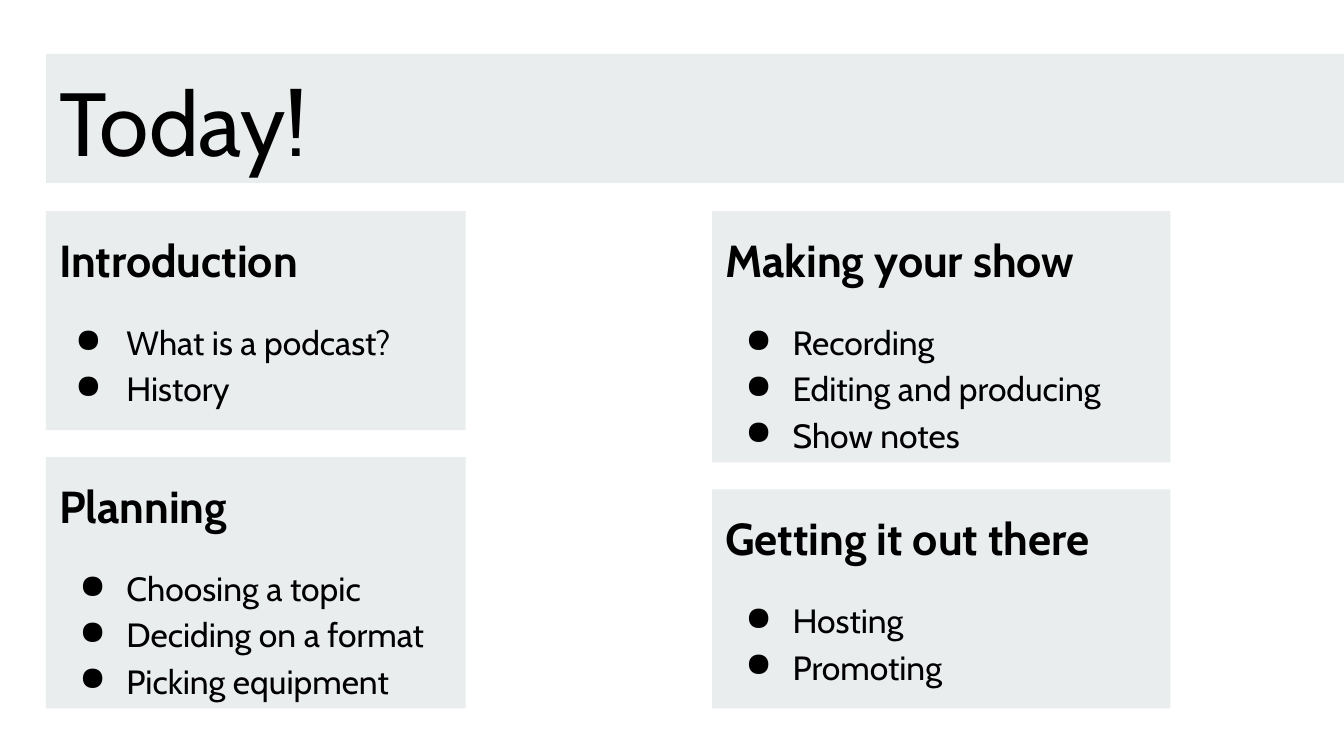
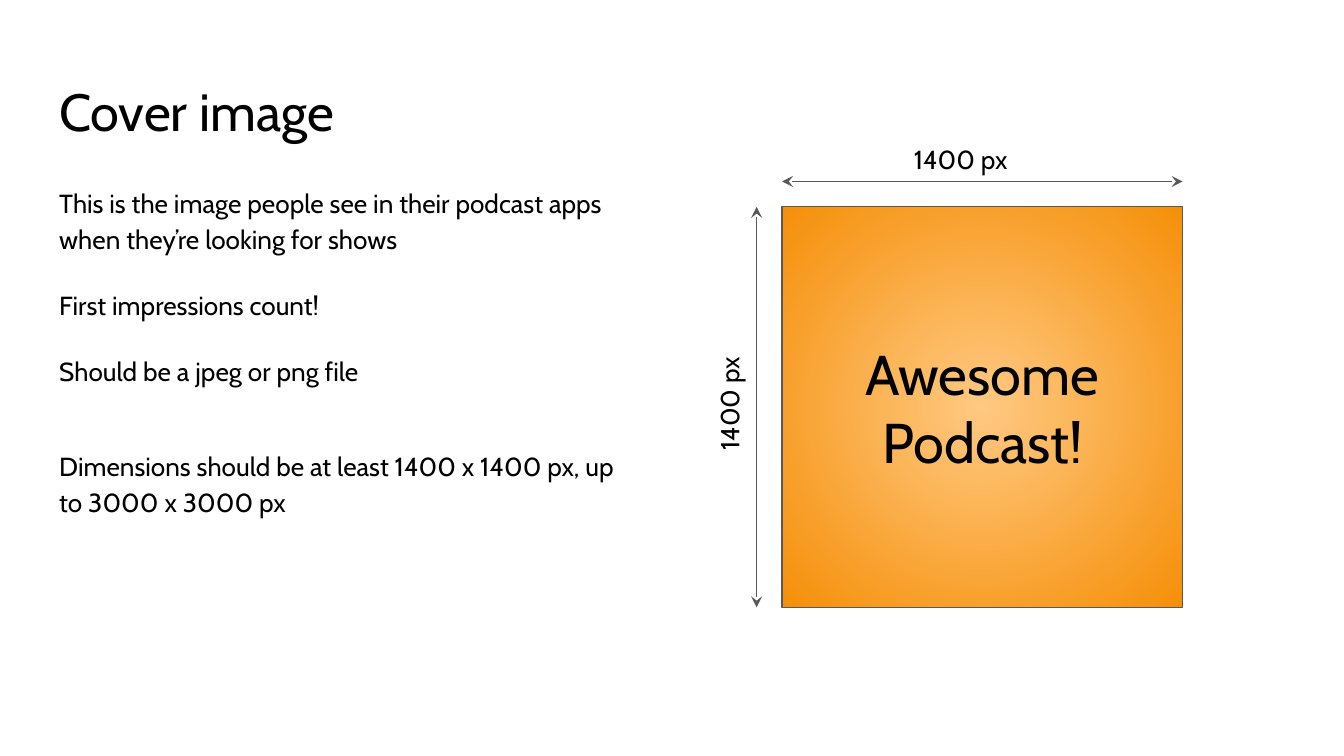
"""Builds two podcast workshop slides: the agenda and the cover image advice."""
import dataclasses

import lxml.etree
import pptx
import pptx.dml.color
import pptx.enum.shapes
import pptx.enum.text
import pptx.oxml.ns
import pptx.util

Cm = pptx.util.Cm
Pt = pptx.util.Pt
qn = pptx.oxml.ns.qn
Align = pptx.enum.text.PP_ALIGN
Anchor = pptx.enum.text.MSO_ANCHOR
Color = pptx.dml.color.RGBColor.from_string


@dataclasses.dataclass(frozen=True)
class Theme:
    font: str = "Cabin"
    ink: str = "000000"
    panel: str = "E1E7E9"
    panel_alpha: int = 73000
    rule: str = "595959"
    cover_center: str = "FFC982"
    cover_edge: str = "F58F09"
    banner_size: int = 48
    title_size: int = 28
    cover_size: int = 30
    heading_size: int = 24
    bullet_size: int = 18
    body_size: int = 14
    line_width: float = 0.75
    line_spacing: float = 1.15
    paragraph_gap: int = 16
    inset: float = 0.25


theme = Theme()


def write(shape, text, size, align=Align.LEFT, anchor=Anchor.TOP, spacing=None):
    frame = shape.text_frame
    frame.text = text
    frame.word_wrap = True
    frame.auto_size = pptx.enum.text.MSO_AUTO_SIZE.NONE
    frame.vertical_anchor = anchor
    frame.margin_left = frame.margin_right = Cm(theme.inset)
    frame.margin_top = frame.margin_bottom = Cm(theme.inset)
    for para in frame.paragraphs:
        para.alignment = align
        para.line_spacing = spacing
        para.space_before = Pt(0)
        for span in para.runs:
            span.font.name = theme.font
            span.font.size = Pt(size)
            span.font.color.rgb = Color(theme.ink)
    return frame.paragraphs


def tint(shape):
    shape.fill.solid()
    shape.fill.fore_color.rgb = Color(theme.panel)
    color = shape._element.spPr.find(qn("a:solidFill")).find(qn("a:srgbClr"))
    lxml.etree.SubElement(color, qn("a:alpha"), val=str(theme.panel_alpha))


deck = pptx.Presentation()
deck.slide_width = Cm(25.4)
deck.slide_height = Cm(14.29)
title_only = deck.slide_layouts[5]
left = 0.87

agenda = deck.slides.add_slide(title_only)
title = agenda.shapes.title
title.left, title.top, title.width, title.height = Cm(left), Cm(1.02), Cm(24.53), Cm(2.44)
tint(title)
write(title, "Today!", theme.banner_size)

columns = [
    (left, 7.93, [
        ("Introduction", 0.97, ["What is a podcast?", "History"]),
        ("Planning", 0.89, ["Choosing a topic", "Deciding on a format", "Picking equipment"]),
    ]),
    (13.46, 8.66, [
        ("Making your show", 0.89, ["Recording", "Editing and producing", "Show notes"]),
        ("Getting it out there", 0.89, ["Hosting", "Promoting"]),
    ]),
]
for column_left, column_width, cards in columns:
    card_top = 3.99
    for heading, hanging, items in cards:
        card_height = 2.92 + 0.61 * len(items)
        card = agenda.shapes.add_textbox(
            Cm(column_left), Cm(card_top), Cm(column_width), Cm(card_height))
        tint(card)
        paragraphs = write(card, "\n".join([heading, *items]), theme.bullet_size,
                           spacing=theme.line_spacing)
        paragraphs[0].runs[0].font.size = Pt(theme.heading_size)
        paragraphs[0].runs[0].font.bold = True
        paragraphs[1].space_before = Pt(theme.paragraph_gap)
        for para in paragraphs[1:]:
            properties = para._p.get_or_add_pPr()
            properties.set("marL", str(Cm(1.27)))
            properties.set("indent", str(-Cm(hanging)))
            bullet_color = lxml.etree.SubElement(properties, qn("a:buClr"))
            lxml.etree.SubElement(bullet_color, qn("a:srgbClr"), val=theme.ink)
            lxml.etree.SubElement(properties, qn("a:buChar"), char="●")
        card_top += card_height + 0.51

cover_page = deck.slides.add_slide(title_only)
title = cover_page.shapes.title
title.left, title.top, title.width, title.height = Cm(left), Cm(1.24), Cm(23.67), Cm(1.6)
write(title, "Cover image", theme.title_size)

advice = cover_page.shapes.add_textbox(Cm(left), Cm(3.2), Cm(11.1), Cm(9.5))
paragraphs = write(advice, "\n".join([
    "This is the image people see in their podcast apps when they’re looking for shows",
    "First impressions count!",
    "Should be a jpeg or png file",
    "Dimensions should be at least 1400 x 1400 px, up to 3000 x 3000 px",
]), theme.body_size, spacing=theme.line_spacing)
for para in paragraphs[1:]:
    para.space_before = Pt(theme.paragraph_gap)
for para in paragraphs[2:]:
    para.space_after = Pt(theme.paragraph_gap)

cover_left, cover_top, cover_side = 14.78, 3.91, 7.57
cover = cover_page.shapes.add_shape(
    pptx.enum.shapes.MSO_SHAPE.RECTANGLE,
    Cm(cover_left), Cm(cover_top), Cm(cover_side), Cm(cover_side))
cover.shadow.inherit = False
cover.line.color.rgb = Color(theme.rule)
cover.line.width = Pt(theme.line_width)
cover.fill.gradient()
for stop, color in zip(cover.fill.gradient_stops, [theme.cover_center, theme.cover_edge]):
    stop.color.rgb = Color(color)
gradient = cover._element.spPr.find(qn("a:gradFill"))
gradient.remove(gradient.find(qn("a:lin")))
radial = lxml.etree.SubElement(gradient, qn("a:path"), path="circle")
lxml.etree.SubElement(radial, qn("a:fillToRect"), l="50000", t="50000", r="50000", b="50000")

cover_name = cover_page.shapes.add_textbox(Cm(15.8), Cm(6.17), Cm(5.54), Cm(3.05))
write(cover_name, "Awesome\nPodcast!", theme.cover_size, Align.CENTER, Anchor.MIDDLE)

width_y, height_x = 3.43, 14.3
dimensions = [
    (cover_left, width_y, cover_left + cover_side, width_y, 17.02, 2.46, 0),
    (height_x, cover_top, height_x, cover_top + cover_side, 12.42, 6.99, 270),
]
for start_x, start_y, end_x, end_y, label_left, label_top, rotation in dimensions:
    arrow = cover_page.shapes.add_connector(
        pptx.enum.shapes.MSO_CONNECTOR.STRAIGHT,
        Cm(start_x), Cm(start_y), Cm(end_x), Cm(end_y))
    arrow.line.color.rgb = Color(theme.rule)
    arrow.line.width = Pt(theme.line_width)
    for end in ("a:headEnd", "a:tailEnd"):
        lxml.etree.SubElement(arrow.line._get_or_add_ln(), qn(end), type="stealth")
    lxml.etree.SubElement(arrow._element.spPr, qn("a:effectLst"))
    label = cover_page.shapes.add_textbox(Cm(label_left), Cm(label_top), Cm(2.59), Cm(0.97))
    label.rotation = rotation
    write(label, "1400 px", theme.body_size)

deck.save("out.pptx")
